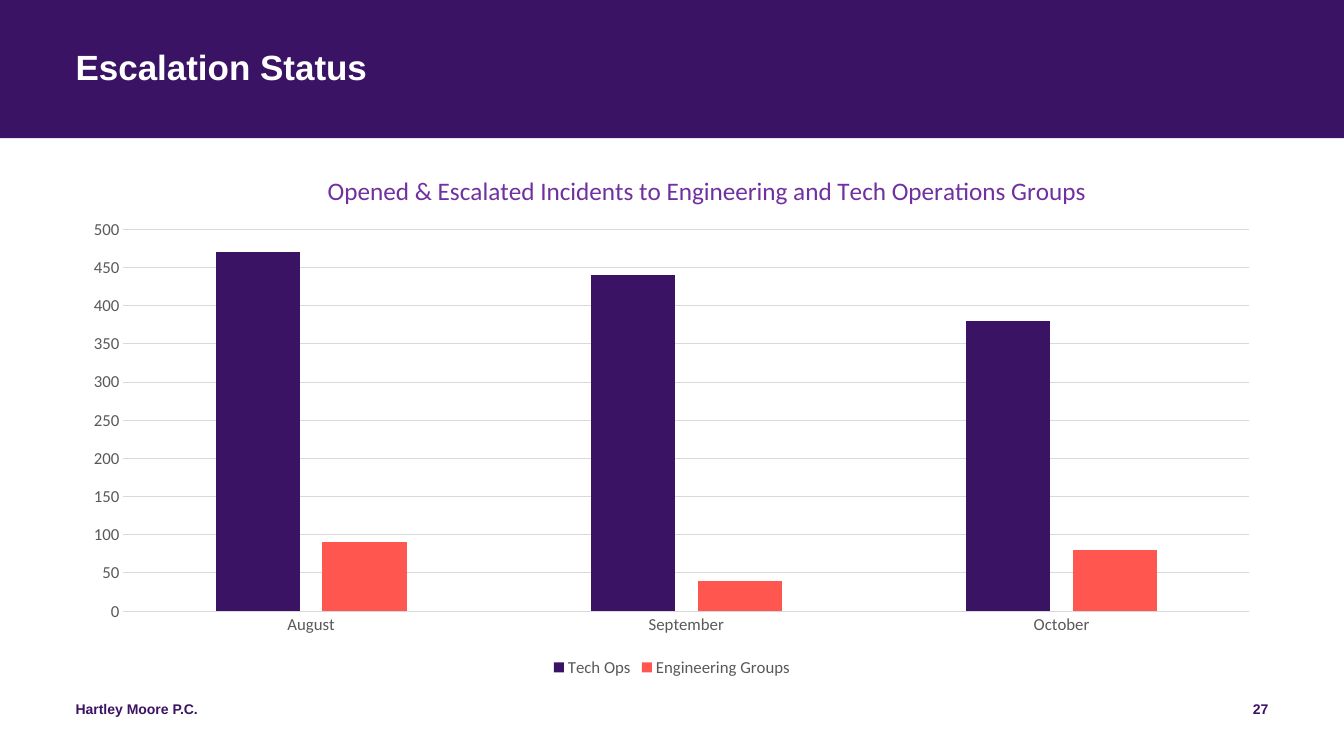
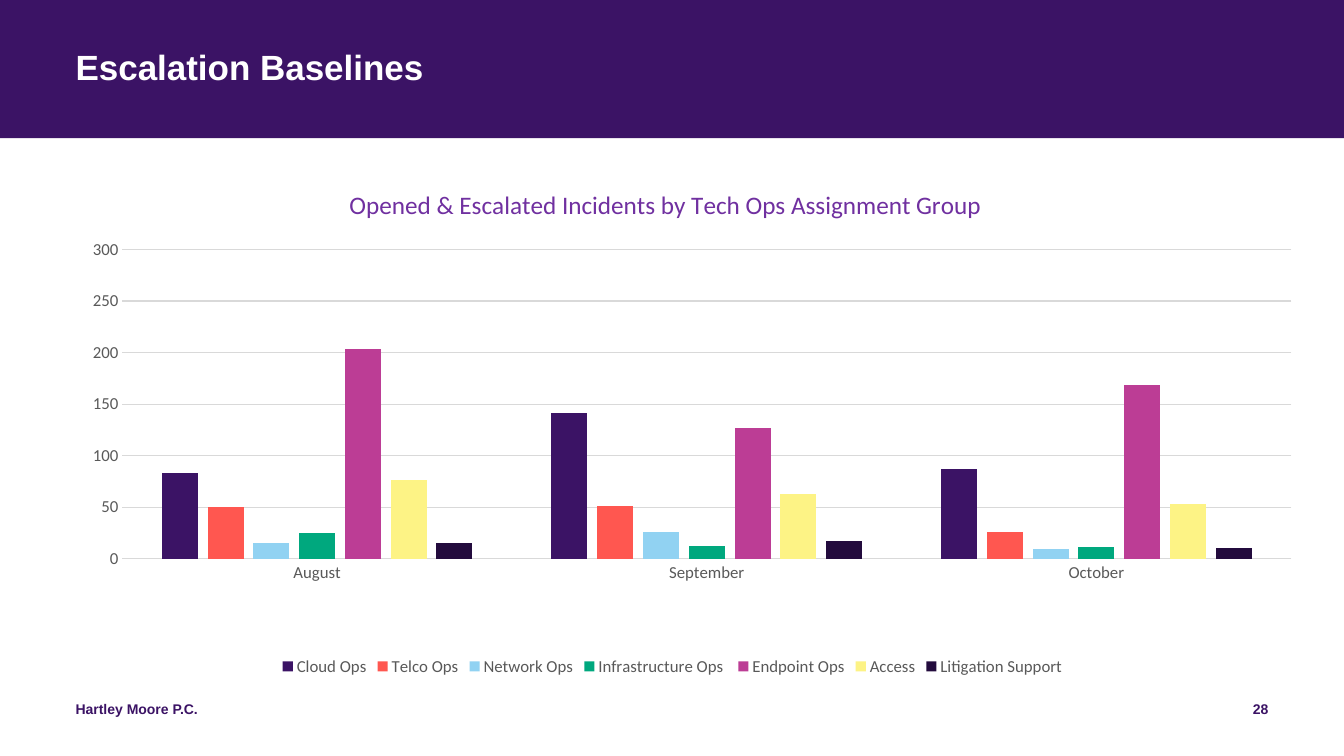
from dataclasses import dataclass

from pptx import Presentation
from pptx.chart.chart import Chart
from pptx.chart.data import CategoryChartData
from pptx.dml.color import RGBColor
from pptx.enum.chart import XL_CHART_TYPE, XL_LEGEND_POSITION, XL_TICK_MARK
from pptx.enum.shapes import MSO_SHAPE
from pptx.enum.text import PP_ALIGN
from pptx.oxml import parse_xml
from pptx.oxml.ns import nsdecls
from pptx.slide import Slide
from pptx.util import Inches, Pt

# Enum members
COLUMN_CLUSTERED = XL_CHART_TYPE.COLUMN_CLUSTERED
LEGEND_BOTTOM = XL_LEGEND_POSITION.BOTTOM
NO_TICK = XL_TICK_MARK.NONE
RECTANGLE = MSO_SHAPE.RECTANGLE
LEFT, RIGHT = PP_ALIGN.LEFT, PP_ALIGN.RIGHT

# Colours
WHITE = RGBColor(0xFF, 0xFF, 0xFF)
PURPLE = RGBColor(0x3B, 0x13, 0x65)
CORAL = RGBColor(0xFF, 0x57, 0x50)
SKY = RGBColor(0x91, 0xD2, 0xF2)
GREEN = RGBColor(0x00, 0xA8, 0x7E)
MAGENTA = RGBColor(0xBC, 0x3D, 0x95)
YELLOW = RGBColor(0xFD, 0xF3, 0x85)
NIGHT = RGBColor(0x23, 0x0B, 0x3D)
CHART_TITLE = RGBColor(0x70, 0x30, 0xA0)
LABEL_GREY = RGBColor(0x59, 0x59, 0x59)
GRID_GREY = RGBColor(0xD9, 0xD9, 0xD9)

# Shared measures and wording
SLIDE_WIDTH, SLIDE_HEIGHT = 13.33, 7.5
MARGIN = 0.75
BAND_HEIGHT = 1.37
FOOTER_TOP, FOOTER_HEIGHT = 6.95, 0.4
FOOTER = "Hartley Moore P.C."
MONTHS = ("August", "September", "October")

# Text formats
TITLE_FORMAT = {"name": "Arial", "size": Pt(25), "bold": True}
FOOTER_FORMAT = {"name": "Arial", "size": Pt(10), "bold": True}
CHART_TITLE_FORMAT = {"name": "Calibri", "size": Pt(18), "bold": False}
LABEL_FORMAT = {"name": "Calibri", "size": Pt(12), "bold": False}


@dataclass(frozen=True)
class Series:
    name: str
    values: tuple[int, ...]
    color: RGBColor


@dataclass(frozen=True)
class ChartSlide:
    title: str
    number: int
    chart_title: str
    box: tuple[float, float, float, float]  # inches
    title_corner: tuple[float, float]  # share of the chart
    plot: tuple[float, float, float, float]  # share of the chart
    maximum: int
    series: tuple[Series, ...]


SLIDES = (
    ChartSlide(
        title="Escalation Status",
        number=27,
        chart_title="Opened & Escalated Incidents to Engineering and Tech Operations Groups",
        box=(0.7, 1.49, 11.93, 5.27),
        title_corner=(0.21, 0.034),
        plot=(0.044, 0.149, 0.936, 0.719),
        maximum=500,
        series=(
            Series("Tech Ops", (470, 440, 380), PURPLE),
            Series("Engineering Groups", (90, 40, 80), CORAL),
        ),
    ),
    ChartSlide(
        title="Escalation Baselines",
        number=28,
        chart_title="Opened & Escalated Incidents by Tech Ops Assignment Group",
        box=(0.25, 1.55, 12.84, 5.2),
        title_corner=(0.247, 0.05),
        plot=(0.075, 0.178, 0.903, 0.59),
        maximum=300,
        series=(
            Series("Cloud Ops", (83, 141, 87), PURPLE),
            Series("Telco Ops", (50, 51, 26), CORAL),
            Series("Network Ops", (15, 26, 9), SKY),
            Series("Infrastructure Ops ", (25, 12, 11), GREEN),
            Series("Endpoint Ops", (203, 127, 169), MAGENTA),
            Series("Access", (76, 63, 53), YELLOW),
            Series("Litigation Support", (15, 17, 10), NIGHT),
        ),
    ),
)


def format_font(font, settings: dict, color: RGBColor) -> None:
    for attribute, value in settings.items():
        setattr(font, attribute, value)
    font.color.rgb = color


def add_text(slide: Slide, text: str, box: tuple[float, ...], settings: dict,
             color: RGBColor, alignment=LEFT, line_spacing: float = 1.0) -> None:
    frame = slide.shapes.add_textbox(*map(Inches, box)).text_frame
    frame.word_wrap = True
    for side in ("left", "top", "right", "bottom"):
        setattr(frame, f"margin_{side}", 0)
    paragraph = frame.paragraphs[0]
    paragraph.alignment = alignment
    paragraph.line_spacing = line_spacing
    run = paragraph.add_run()
    run.text = text
    format_font(run.font, settings, color)


def add_frame(slide: Slide, content: ChartSlide) -> None:
    """Draw the title band, title, footer and page number."""
    band = slide.shapes.add_shape(
        RECTANGLE, 0, 0, Inches(SLIDE_WIDTH), Inches(BAND_HEIGHT))
    band.shadow.inherit = False
    band.fill.solid()
    band.fill.fore_color.rgb = PURPLE
    band.line.fill.background()

    text_width = SLIDE_WIDTH - 2 * MARGIN
    add_text(slide, FOOTER, (MARGIN, FOOTER_TOP, 4.5, FOOTER_HEIGHT),
             FOOTER_FORMAT, PURPLE)
    number_width = 3
    number_left = SLIDE_WIDTH - MARGIN - number_width
    add_text(slide, str(content.number),
             (number_left, FOOTER_TOP, number_width, FOOTER_HEIGHT),
             FOOTER_FORMAT, PURPLE, RIGHT)
    add_text(slide, content.title, (MARGIN, 0.5, text_width, 0.81),
             TITLE_FORMAT, WHITE, line_spacing=0.9)


def manual_layout(position: tuple[float, ...], inner: bool = False):
    """Build a chart layout from left, top and, if given, width and height."""
    target = '<c:layoutTarget val="inner"/>' if inner else ""
    modes = '<c:xMode val="edge"/><c:yMode val="edge"/>'
    sizes = "".join(f'<c:{key} val="{value}"/>' for key, value in zip("xywh", position))
    return parse_xml(f'<c:layout {nsdecls("c")}><c:manualLayout>{target}{modes}{sizes}'
                     "</c:manualLayout></c:layout>")


def place_parts(chart: Chart, content: ChartSlide) -> None:
    """Fix the places of the chart title and the plot area."""
    title = chart.chart_title._element
    plot_area = chart._chartSpace.chart.plotArea
    for parent in (title, plot_area):
        for layout in parent.xpath("c:layout"):
            parent.remove(layout)
    title.xpath("c:tx")[0].addnext(manual_layout(content.title_corner))
    plot_area.insert(0, manual_layout(content.plot, inner=True))


def format_axes(chart: Chart, maximum: int) -> None:
    for axis in (chart.category_axis, chart.value_axis):
        axis.major_tick_mark = NO_TICK
        axis.minor_tick_mark = NO_TICK
        format_font(axis.tick_labels.font, LABEL_FORMAT, LABEL_GREY)
    value_axis = chart.value_axis
    for attribute, value in {"minimum_scale": 0, "maximum_scale": maximum,
                             "major_unit": 50, "has_major_gridlines": True}.items():
        setattr(value_axis, attribute, value)
    value_axis.format.line.fill.background()
    for line in (chart.category_axis.format.line,
                 value_axis.major_gridlines.format.line):
        line.color.rgb = GRID_GREY
        line.width = Pt(0.75)


def add_column_chart(slide: Slide, content: ChartSlide) -> None:
    data = CategoryChartData()
    data.categories = MONTHS
    for series in content.series:
        data.add_series(series.name, series.values)
    chart = slide.shapes.add_chart(
        COLUMN_CLUSTERED, *map(Inches, content.box), data).chart
    chart.font.name = "Calibri"
    chart.font.size = Pt(10)

    # Title and legend
    chart.has_title = True
    paragraph = chart.chart_title.text_frame.paragraphs[0]
    run = paragraph.add_run()
    run.text = content.chart_title
    format_font(run.font, CHART_TITLE_FORMAT, CHART_TITLE)
    chart.chart_title.include_in_layout = False
    chart.has_legend = True
    chart.legend.position = LEGEND_BOTTOM
    chart.legend.include_in_layout = False
    format_font(chart.legend.font, LABEL_FORMAT, LABEL_GREY)

    # Columns
    plot = chart.plots[0]
    for attribute, value in {"gap_width": 219, "overlap": -27,
                             "vary_by_categories": False}.items():
        setattr(plot, attribute, value)
    for column, series in zip(plot.series, content.series):
        column.format.fill.solid()
        column.format.fill.fore_color.rgb = series.color

    format_axes(chart, content.maximum)
    place_parts(chart, content)


def main() -> None:
    presentation = Presentation()
    presentation.slide_width = Inches(SLIDE_WIDTH)
    presentation.slide_height = Inches(SLIDE_HEIGHT)
    blank_layout = presentation.slide_layouts[6]
    for content in SLIDES:
        slide = presentation.slides.add_slide(blank_layout)
        add_frame(slide, content)
        add_column_chart(slide, content)
    presentation.save("out.pptx")


if __name__ == "__main__":
    main()
